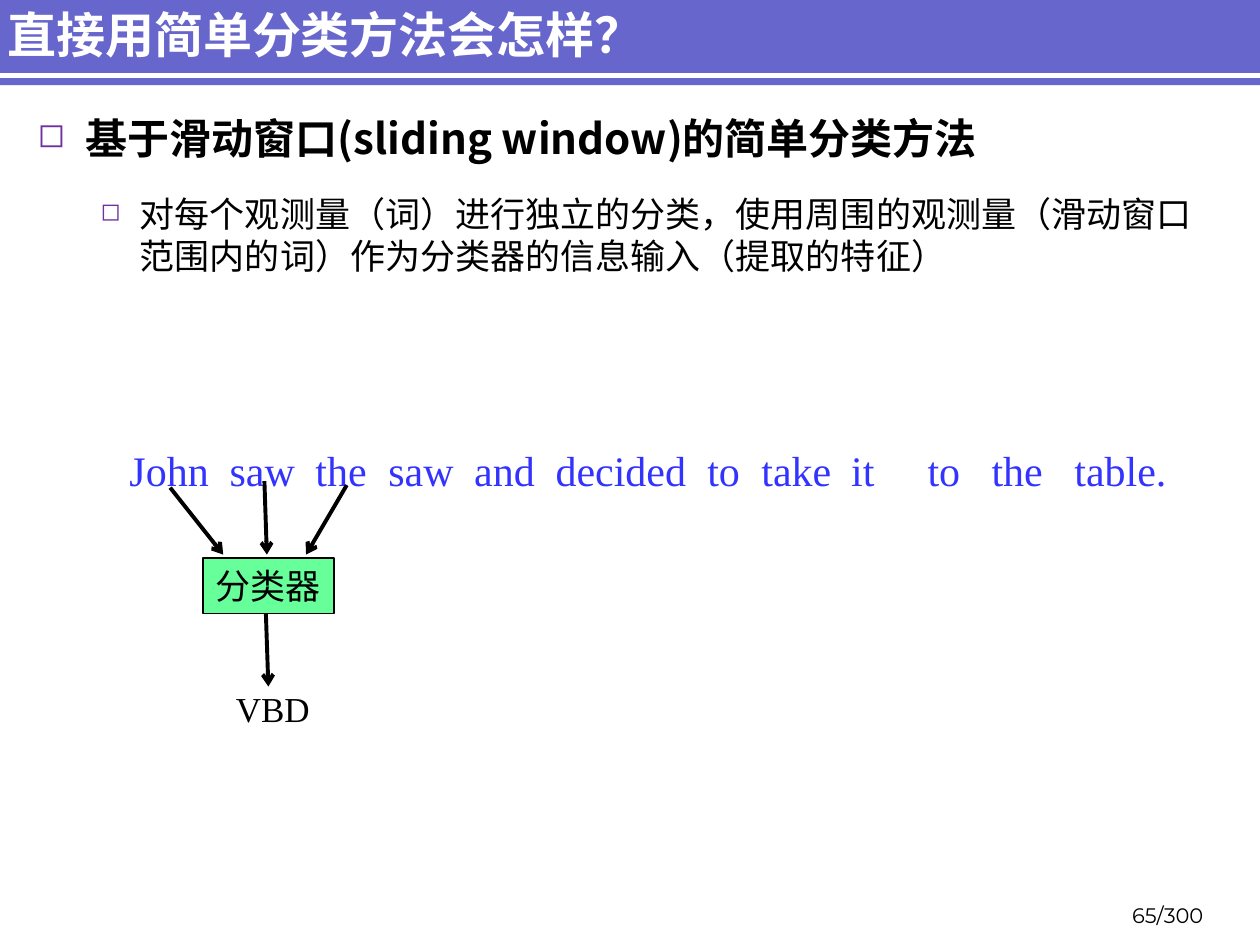
"""Builds the slide on tagging words with a sliding-window classifier."""
from pptx import Presentation
from pptx.dml.color import RGBColor
from pptx.enum.shapes import MSO_CONNECTOR, MSO_SHAPE
from pptx.enum.text import MSO_ANCHOR, PP_ALIGN
from pptx.oxml.ns import qn
from pptx.oxml.xmlchemy import OxmlElement
from pptx.util import Cm, Pt

RECT, STRAIGHT = MSO_SHAPE.RECTANGLE, MSO_CONNECTOR.STRAIGHT
TOP, MIDDLE, BOTTOM = MSO_ANCHOR.TOP, MSO_ANCHOR.MIDDLE, MSO_ANCHOR.BOTTOM
LEFT, CENTER, RIGHT = PP_ALIGN.LEFT, PP_ALIGN.CENTER, PP_ALIGN.RIGHT
rgb = RGBColor.from_string
SANS, SERIF = "Noto Sans CJK SC", "Times New Roman"


def add_element(parent, tag, **attrs):
    el = OxmlElement(tag)
    for name, value in attrs.items():
        el.set(name, str(value))
    parent.append(el)
    return el


def style(p, size, font, color="000000", bold=False, align=LEFT):
    p.alignment = align
    p.font.size, p.font.name, p.font.bold = Pt(size), font, bold
    p.font.color.rgb = rgb(color)
    add_element(p._p.pPr.find(qn("a:defRPr")), "a:ea", typeface=font)


prs = Presentation()
prs.slide_width, prs.slide_height = Cm(25.4), Cm(19.05)
s = prs.slides.add_slide(prs.slide_layouts[6])

band = s.shapes.add_shape(RECT, Cm(-0.1), Cm(-0.08), Cm(25.5), Cm(1.8))
band.shadow.inherit = False
band.fill.solid()
band.fill.fore_color.rgb = rgb("6666CC")
band.line.fill.background()

box = s.shapes.add_shape(RECT, Cm(4.09), Cm(11.25), Cm(2.64), Cm(1.12))
box.shadow.inherit = False
box.fill.solid()
box.fill.fore_color.rgb = rgb("66FF99")
box.line.color.rgb = rgb("000000")
box.line.width = Pt(1)
tf = box.text_frame
tf.margin_top = tf.margin_bottom = 0
tf.word_wrap = False
tf.vertical_anchor = MIDDLE
p = tf.paragraphs[0]
p.text = "分类器"
style(p, 20, SANS, align=CENTER)

labels = [
    ("直接用简单分类方法会怎样？", -0.1, 0.13, 22.28, 1.09, MIDDLE, (28, SANS, "FFFFFF", True)),
    ("VBD", 4.5, 13.74, 2, 1.09, TOP, (20, SERIF, "000000", False, CENTER)),
    ("65/300", 21.87, 17.93, 2.64, 0.89, BOTTOM, (12, "Montserrat", "000000", False, RIGHT)),
]
for text, x, y, w, h, anchor, look in labels:
    tf = s.shapes.add_textbox(Cm(x), Cm(y), Cm(w), Cm(h)).text_frame
    tf.word_wrap = True
    tf.vertical_anchor = anchor
    p = tf.paragraphs[0]
    p.text = text
    style(p, *look)

points = [
    ("基于滑动窗口(sliding window)的简单分类方法", 0, 0.97, 0.97, 80, 24, True, 29, 0, 12),
    ("对每个观测量（词）进行独立的分类，使用周围的观测量（滑动窗口范围内的词）"
     "作为分类器的信息输入（提取的特征）", 1, 2.06, 0.79, 70, 20, False, 24, 5, 6),
]
tf = s.shapes.add_textbox(Cm(0.51), Cm(2.13), Cm(24), Cm(15.6)).text_frame
tf.word_wrap = True
for i, (text, level, margin, hang, scale, size, bold, leading, before, after) in enumerate(points):
    p = tf.add_paragraph() if i else tf.paragraphs[0]
    p.text = text
    p.level = level
    pPr = p._p.get_or_add_pPr()
    pPr.set("marL", str(Cm(margin)))
    pPr.set("indent", str(-Cm(hang)))
    add_element(add_element(pPr, "a:buClr"), "a:srgbClr", val="7030A0")
    add_element(pPr, "a:buSzPct", val=scale * 1000)
    add_element(pPr, "a:buChar", char="◻")
    style(p, size, SANS, bold=bold)
    p.line_spacing = Pt(leading)
    p.space_before, p.space_after = Pt(before), Pt(after)

words = ["John", "saw", "the", "saw", "and", "decided", "to", "take", "it", "to", "the", "table."]
stops = [2.02, 3.75, 5.22, 6.95, 8.59, 11.65, 12.74, 14.55, 16.09, 17.38, 19.05]
tf = s.shapes.add_textbox(Cm(2.36), Cm(8.84), Cm(21.8), Cm(1.3)).text_frame
tf.word_wrap = True
p = tf.paragraphs[0]
p.text = "\t".join(words)
tabs = add_element(p._p.get_or_add_pPr(), "a:tabLst")
for stop in stops:
    add_element(tabs, "a:tab", pos=int(Cm(stop)), algn="l")
style(p, 24, SERIF, "3333FF")

lines = [
    (-0.1, 1.52, 25.4, 1.52, "FFFFFF", 3, False),
    (3.43, 9.83, 4.5, 11.18, "000000", 2.25, True),
    (6.99, 9.78, 6.17, 11.18, "000000", 2.25, True),
    (5.33, 9.7, 5.38, 11.18, "000000", 2.25, True),
    (5.36, 12.37, 5.41, 13.84, "000000", 2.25, True),
]
for x1, y1, x2, y2, color, width, arrow in lines:
    c = s.shapes.add_connector(STRAIGHT, Cm(x1), Cm(y1), Cm(x2), Cm(y2))
    c.line.color.rgb = rgb(color)
    c.line.width = Pt(width)
    if arrow:
        add_element(c.line._get_or_add_ln(), "a:tailEnd", type="arrow")
    add_element(c._element.spPr, "a:effectLst")

prs.save("out.pptx")
